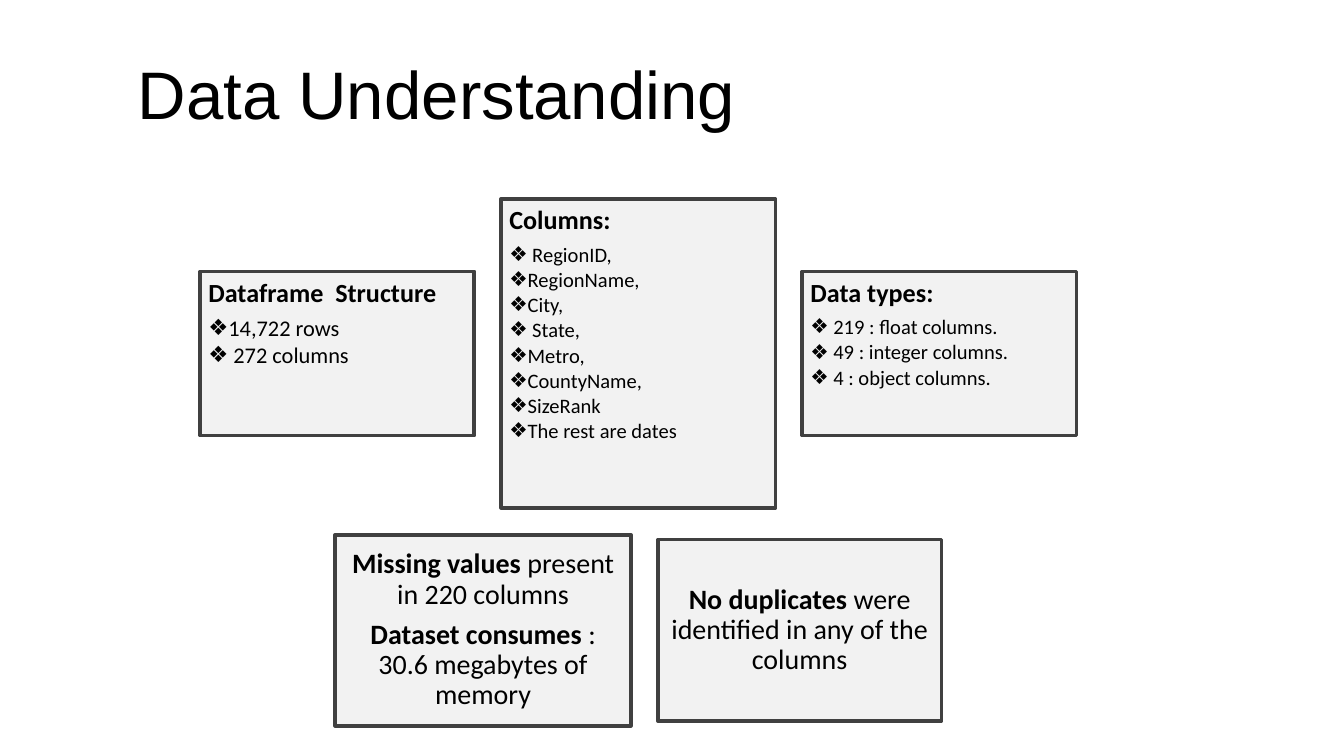
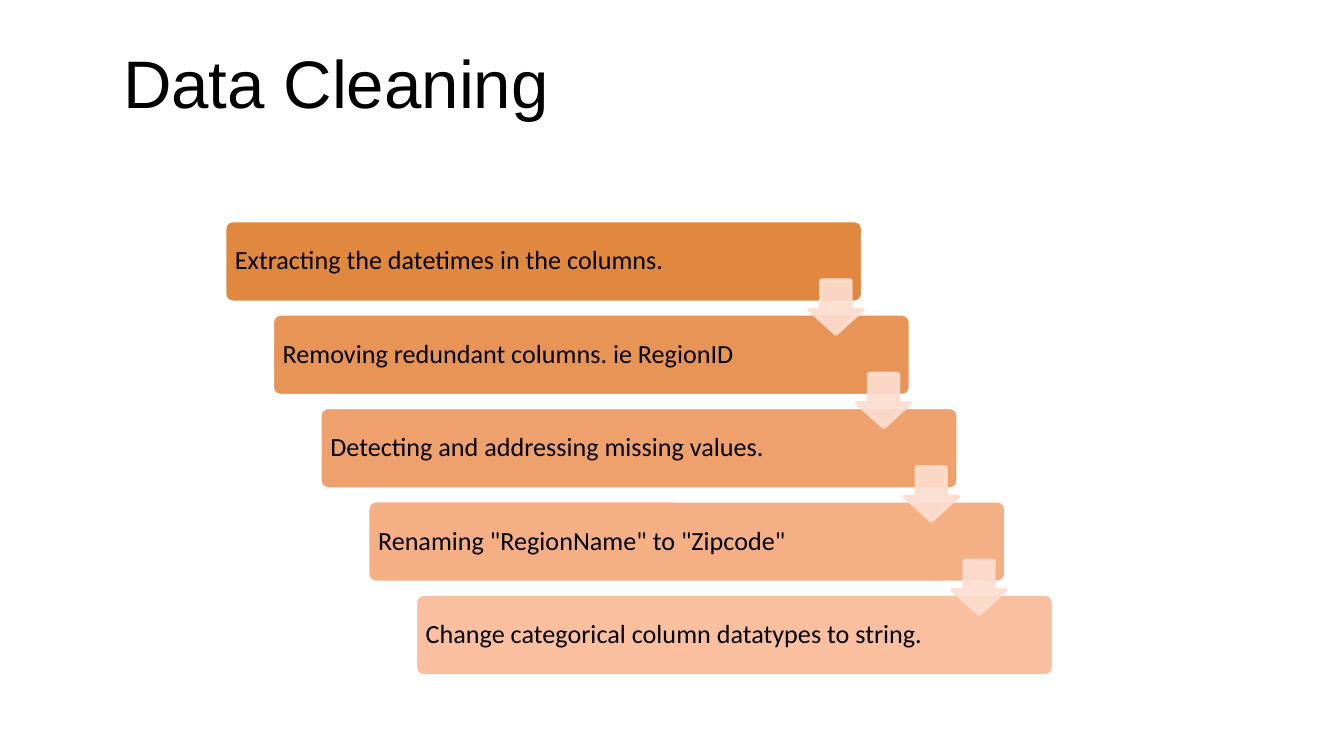
from dataclasses import dataclass

from lxml.etree import SubElement
from pptx import Presentation
from pptx.dml.color import RGBColor
from pptx.enum.shapes import MSO_SHAPE
from pptx.enum.text import MSO_ANCHOR, MSO_AUTO_SIZE, PP_ALIGN
from pptx.oxml.ns import qn
from pptx.shapes.autoshape import Shape
from pptx.slide import Slide
from pptx.util import Emu, Pt

PX = 4572  # 200 px to the inch
COLORS = {
    "text": "000000",
    "card": "F2F2F2",
    "card_line": "404040",
    "step_line": "FFFFFF",
    "arrow": "FCDDCF",
}
STEP_FILLS = ["E08840", "E89456", "EFA16D", "F5AF85", "FABF9F"]
TITLE_FONT, BODY_FONT = "Arial", "Calibri"
LINE_WIDTH = 2
INSET = 12
CARD_GAP = 40
BULLET = "❖"


@dataclass(frozen=True)
class Box:
    left: int
    top: int
    width: int
    height: int


@dataclass(frozen=True)
class Span:
    text: str
    size: int
    bold: bool = False


@dataclass(frozen=True)
class Para:
    spans: list[Span]
    space_after: int = 35  # percent of a line
    hanging: int = 0  # px; a bullet is shown when above zero


@dataclass(frozen=True)
class Card:
    width: int
    height: int
    paras: list[Para]
    centered: bool = False


def px(length: int) -> Emu:
    return Emu(length * PX)


def rgb(value: str) -> RGBColor:
    return RGBColor.from_string(value)


def place(shape: Shape, box: Box) -> None:
    shape.left, shape.top = px(box.left), px(box.top)
    shape.width, shape.height = px(box.width), px(box.height)


def add_span(paragraph, span: Span, font: str = BODY_FONT) -> None:
    run = paragraph.add_run()
    run.text = span.text
    run.font.name = font
    run.font.size = Pt(span.size)
    run.font.bold = span.bold
    run.font.color.rgb = rgb(COLORS["text"])


def add_title_slide(deck, title: str, box: Box) -> Slide:
    page = deck.slides.add_slide(deck.slide_layouts[5])
    place(page.shapes.title, box)
    frame = page.shapes.title.text_frame
    frame.auto_size = MSO_AUTO_SIZE.NONE
    frame.vertical_anchor = MSO_ANCHOR.MIDDLE
    paragraph = frame.paragraphs[0]
    paragraph.alignment = PP_ALIGN.CENTER
    add_span(paragraph, Span(title, 36), TITLE_FONT)
    return page


def add_block(page: Slide, kind: MSO_SHAPE, box: Box, fill: str, line: str,
              adjustments: tuple[float, ...] = ()) -> Shape:
    shape = page.shapes.add_shape(kind, px(box.left), px(box.top),
                                  px(box.width), px(box.height))
    for index, value in enumerate(adjustments):
        shape.adjustments[index] = value
    shape.shadow.inherit = False
    shape.fill.solid()
    shape.fill.fore_color.rgb = rgb(fill)
    shape.line.color.rgb = rgb(line)
    shape.line.width = Pt(LINE_WIDTH)
    return shape


def set_opacity(shape: Shape, percent: int) -> None:
    """Apply one opacity to both the fill and the line."""
    for color in shape.element.spPr.iter(qn("a:srgbClr")):
        SubElement(color, qn("a:alpha"), val=str(percent * 1000))


def format_paragraph(paragraph, para: Para, alignment: PP_ALIGN) -> None:
    paragraph.alignment = alignment
    paragraph.line_spacing = 0.9
    paragraph.space_after = Pt(0)
    properties = paragraph._p.get_or_add_pPr()
    spacing = properties.find(qn("a:spcAft"))
    spacing.clear()
    SubElement(spacing, qn("a:spcPct"), val=str(para.space_after * 1000))
    if para.hanging:
        paragraph.level = 1
        properties.set("marL", str(px(para.hanging)))
        properties.set("indent", str(px(-para.hanging)))
        SubElement(properties, qn("a:buFont"), typeface=TITLE_FONT)
        SubElement(properties, qn("a:buChar"), char=BULLET)


def write(shape: Shape, paras: list[Para], anchor: MSO_ANCHOR,
          alignment: PP_ALIGN) -> None:
    frame = shape.text_frame
    frame.word_wrap = True
    frame.vertical_anchor = anchor
    frame.margin_left = frame.margin_right = px(INSET)
    frame.margin_top = frame.margin_bottom = px(INSET)
    for index, para in enumerate(paras):
        paragraph = frame.add_paragraph() if index else frame.paragraphs[0]
        format_paragraph(paragraph, para, alignment)
        for span in para.spans:
            add_span(paragraph, span)


def list_card(height: int, heading: str, items: list[str], size: int,
              hanging: int) -> Card:
    bullets = [Para([Span(item, size)], 15, hanging) for item in items]
    return Card(408, height, [Para([Span(heading, 14, True)]), *bullets])


def fact_card(width: int, height: int, facts: list[tuple[str, str]]) -> Card:
    paras = [Para([Span(lead, 15, True), Span(rest, 15)])
             for lead, rest in facts]
    return Card(width, height, paras, centered=True)


def add_card_row(page: Slide, left: int, middle: int,
                 cards: list[Card]) -> None:
    """Lay cards out from the left, all centred on one horizontal line."""
    for card in cards:
        box = Box(left, middle - card.height // 2, card.width, card.height)
        shape = add_block(page, MSO_SHAPE.RECTANGLE, box,
                          COLORS["card"], COLORS["card_line"])
        if card.centered:
            write(shape, card.paras, MSO_ANCHOR.MIDDLE, PP_ALIGN.CENTER)
        else:
            write(shape, card.paras, MSO_ANCHOR.TOP, PP_ALIGN.LEFT)
        left += card.width + CARD_GAP


def add_staircase(page: Slide, steps: list[str]) -> None:
    boxes = [Box(334 + 71 * index, 328 + 139 * index, 950, 122)
             for index in range(len(steps))]
    for box, text, fill in zip(boxes, steps, STEP_FILLS):
        shape = add_block(page, MSO_SHAPE.ROUNDED_RECTANGLE, box, fill,
                          COLORS["step_line"], (0.1,))
        write(shape, [Para([Span(text, 14)])], MSO_ANCHOR.MIDDLE,
              PP_ALIGN.LEFT)
    side = 80
    for box in boxes[:-1]:
        corner = Box(box.left + box.width - side, box.top + 89, side, side)
        arrow = add_block(page, MSO_SHAPE.DOWN_ARROW, corner, COLORS["arrow"],
                          COLORS["arrow"], (0.55, 0.45))
        set_opacity(arrow, 90)


def build_understanding(deck) -> None:
    page = add_title_slide(deck, "Data Understanding", Box(100, 46, 1100, 184))
    add_card_row(page, 298, 526, [
        list_card(244, "Dataframe  Structure",
                  ["14,722 rows", " 272 columns"], 12, 24),
        list_card(460, "Columns:",
                  [" RegionID,", "RegionName,", "City,", " State,", "Metro,",
                   "CountyName,", "SizeRank", "The rest are dates"], 11, 12),
        list_card(244, "Data types:",
                  [" 219 : float columns.", " 49 : integer columns.",
                   " 4 : object columns."], 11, 12),
    ])
    add_card_row(page, 499, 938, [
        fact_card(440, 284, [
            ("Missing values ", "present in 220 columns"),
            ("Dataset consumes ", ": 30.6 megabytes of memory"),
        ]),
        fact_card(422, 270, [
            ("No duplicates ", "were identified in any of the columns"),
        ]),
    ])


def build_cleaning(deck) -> None:
    page = add_title_slide(deck, "Data Cleaning", Box(100, 46, 800, 150))
    add_staircase(page, [
        "Extracting the datetimes in the columns.",
        "Removing redundant columns. ie RegionID",
        "Detecting and addressing missing values.",
        'Renaming "RegionName" to "Zipcode"',
        "Change categorical column datatypes to string.",
    ])


def main() -> None:
    deck = Presentation()
    deck.slide_width, deck.slide_height = px(2000), px(1125)
    build_understanding(deck)
    build_cleaning(deck)
    deck.save("out.pptx")


if __name__ == "__main__":
    main()
